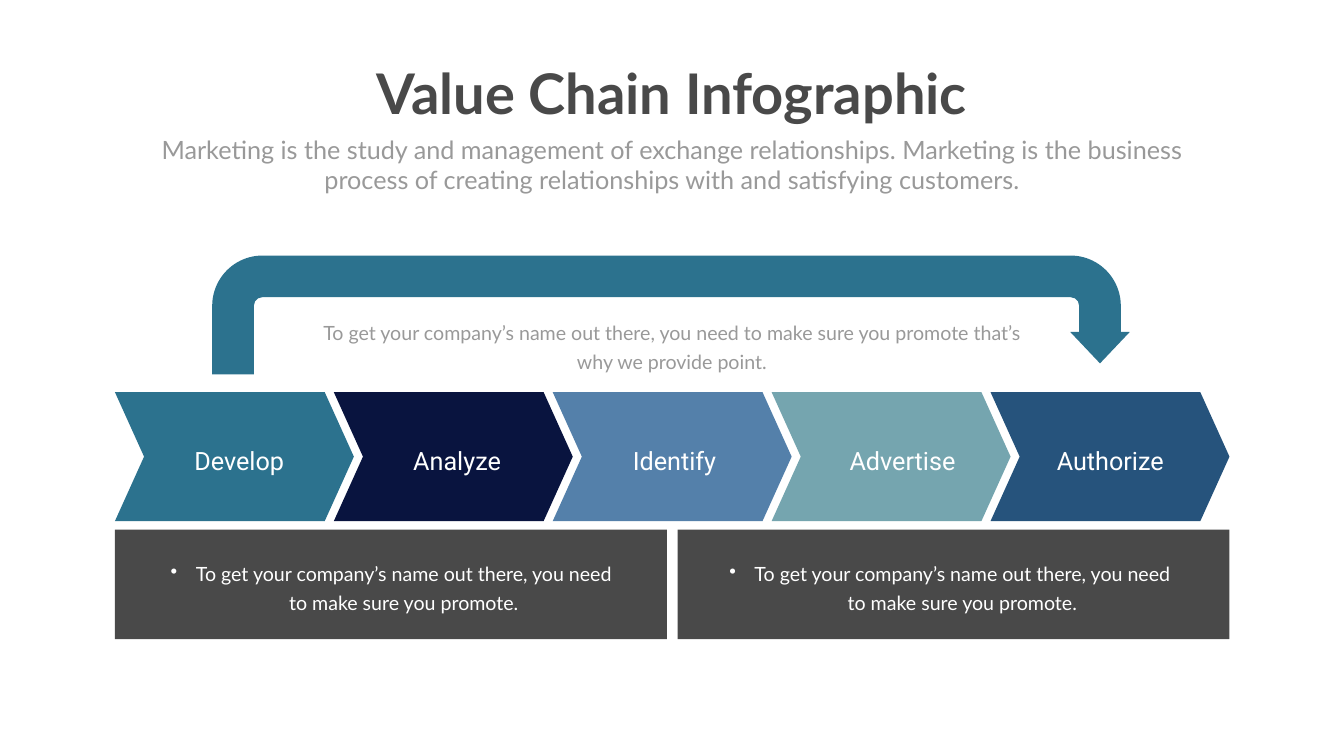
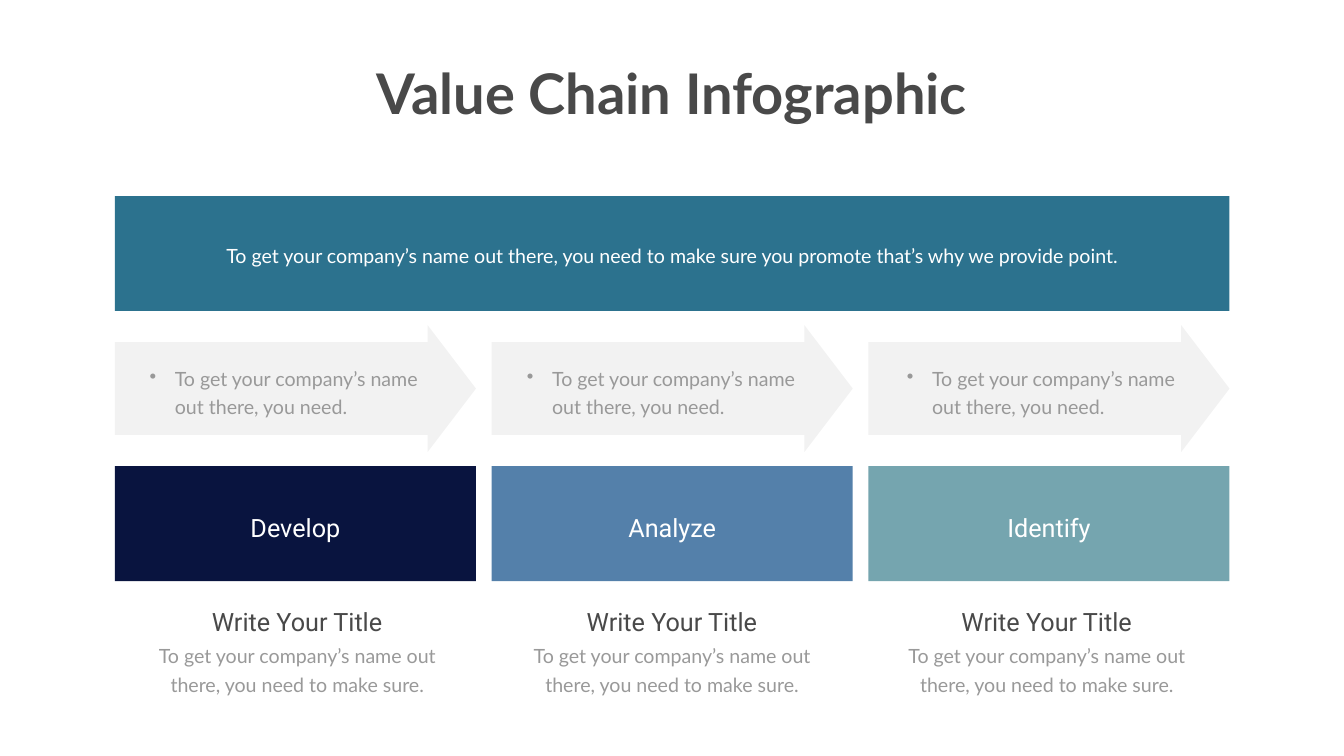
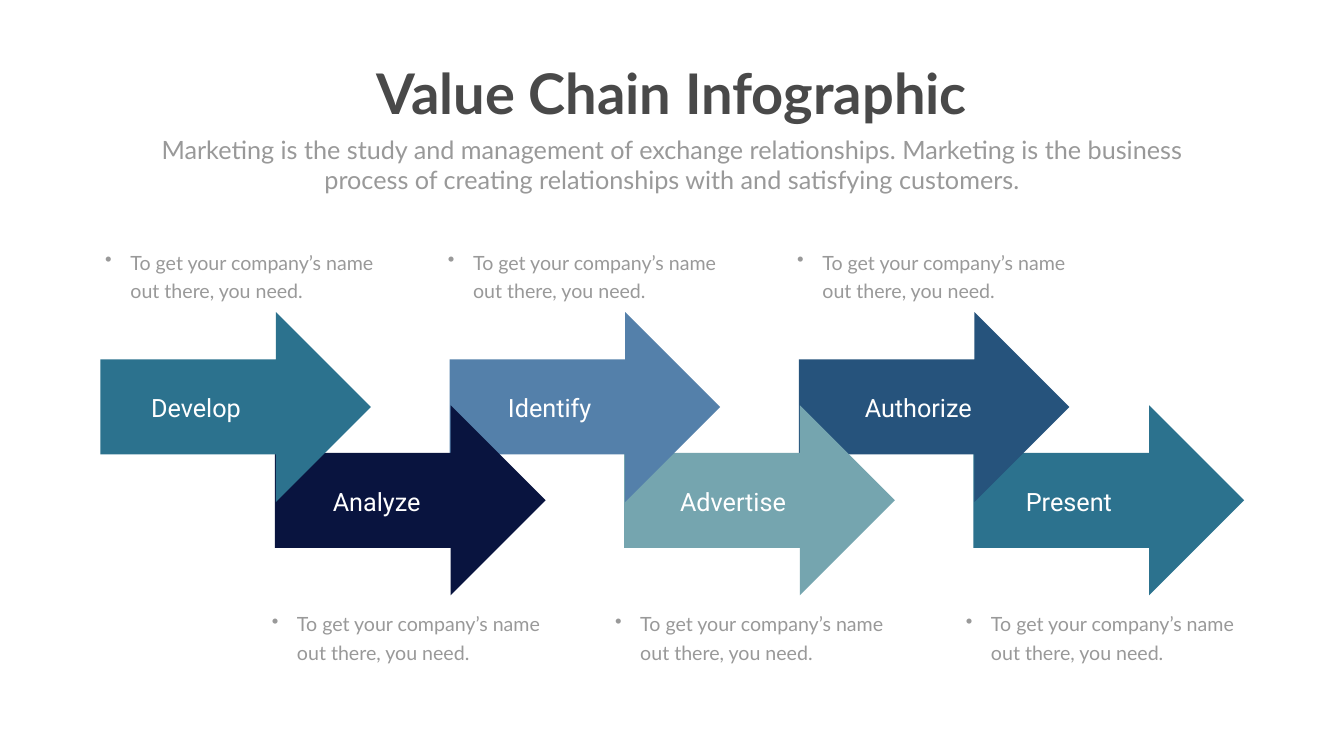
from collections import namedtuple

from lxml import etree
from pptx import Presentation
from pptx.dml.color import RGBColor
from pptx.enum.shapes import MSO_SHAPE
from pptx.enum.text import MSO_AUTO_SIZE, PP_ALIGN
from pptx.oxml.ns import qn
from pptx.util import Inches, Pt

WIDTH, HEIGHT = Inches(26.66), Inches(15)
COL, ROW = WIDTH / 100, HEIGHT / 100

TEAL = RGBColor(0x2C, 0x72, 0x8E)
NAVY = RGBColor(0x09, 0x14, 0x3F)
BLUE = RGBColor(0x54, 0x80, 0xAA)
SAGE = RGBColor(0x75, 0xA5, 0xAF)
STEEL = RGBColor(0x26, 0x53, 0x7C)
DARK = RGBColor(0x49, 0x49, 0x49)
GRAY = RGBColor(0x99, 0x99, 0x99)
MID_GRAY = RGBColor(0x80, 0x80, 0x80)
WHITE = RGBColor(0xFF, 0xFF, 0xFF)

LEFT, CENTER = PP_ALIGN.LEFT, PP_ALIGN.CENTER
FIT = MSO_AUTO_SIZE.SHAPE_TO_FIT_TEXT
CHEVRON, UTURN = MSO_SHAPE.CHEVRON, MSO_SHAPE.U_TURN_ARROW
RECT, ROUNDED = MSO_SHAPE.RECTANGLE, MSO_SHAPE.ROUNDED_RECTANGLE
ARROW = MSO_SHAPE.RIGHT_ARROW

TITLE = "Value Chain Infographic"
SUBTITLE = ("Marketing is the study and management of exchange relationships. "
            "Marketing is the business process of creating relationships "
            "with and satisfying customers.")
NEED = "To get your company’s name out there, you need"
LONG = NEED + " to make sure you promote that’s why we provide point."
PROMOTE = NEED + " to make sure you promote."
SURE = NEED + " to make sure."
SHORT = NEED + "."

MARGIN, CONTENT_W = 8.55, 82.93
LINE_1, LINE_2 = 4.13, 7.93
LABEL_W, LABEL_H = 10.02, 4.73
NOTE_W = 21.08

Box = namedtuple("Box", "x y w h")


def inside(box, dx, dy, w, h):
    return Box(box.x + dx, box.y + dy, w, h)


def split(box, count, width):
    pitch = (box.w - width) / (count - 1)
    return [Box(box.x + i * pitch, box.y, width, box.h) for i in range(count)]


def emu(box):
    return (round(box.x * COL), round(box.y * ROW),
            round(box.w * COL), round(box.h * ROW))


def add_block(s, kind, box, color, adjust=(), alpha=None):
    sp = s.shapes.add_shape(kind, *emu(box))
    sp.shadow.inherit = False
    sp.fill.solid()
    sp.fill.fore_color.rgb = color
    sp.line.fill.background()
    for i, value in enumerate(adjust):
        sp.adjustments[i] = value
    if alpha is not None:
        fill = sp.element.spPr.find(".//" + qn("a:srgbClr"))
        etree.SubElement(fill, qn("a:alpha"), val=str(alpha * 1000))


def add_text(s, box, text, size=28, font="Lato", color=GRAY, bold=False,
             align=CENTER, wrap=True, leading=None, bullet=False):
    tf = s.shapes.add_textbox(*emu(box)).text_frame
    tf.word_wrap = wrap
    tf.auto_size = FIT
    p = tf.paragraphs[0]
    if bullet:
        pPr = p._p.get_or_add_pPr()
        pPr.set("marL", str(Inches(0.5)))
        pPr.set("indent", str(-Inches(0.5)))
        etree.SubElement(pPr, qn("a:buChar"), char="•")
    p.alignment = align
    if leading:
        p.line_spacing = Pt(leading)
    r = p.add_run()
    r.text = text
    r.font.size = Pt(size)
    r.font.name = font
    r.font.bold = bold
    r.font.color.rgb = color


def add_body(s, box, text, **fmt):
    add_text(s, box, text, leading=40.8, **fmt)


def add_label(s, box, text, color=WHITE, **fmt):
    add_text(s, box, text, size=36, font="Roboto", color=color, **fmt)


def add_heading(s, subtitle=None):
    add_text(s, Box(27.04, 7.47, 45.91, 9.67), TITLE, size=80, color=DARK,
             bold=True, wrap=False)
    if subtitle:
        add_text(s, Box(10.95, 17.4, 78.09, 8.73), subtitle, size=36)


def chevron_row(s, box):
    steps = [("Develop", TEAL, 4.24), ("Analyze", NAVY, 4.16),
             ("Identify", BLUE, 4.05), ("Advertise", SAGE, 4.73),
             ("Authorize", STEEL, 3.9)]
    cells = split(box, len(steps), 17.78)
    for cell, (name, color, dx) in zip(cells, steps):
        add_block(s, CHEVRON, cell, color, [0.226])
        add_label(s, inside(cell, dx, 6.67, LABEL_W, 3.73), name)


def return_arrow(s, box):
    add_block(s, UTURN, box, TEAL, [0.35, 0.25, 0.264, 0.423, 0.907])
    add_body(s, inside(box, 7.43, 7.67, 53.53, LINE_2), LONG)


def dark_panels(s, box):
    for cell, dx in zip(split(box, 2, 41.07), (3.71, 3.41)):
        add_block(s, RECT, cell, DARK)
        add_body(s, inside(cell, dx, 3.27, 33.68, LINE_2), PROMOTE,
                 color=WHITE, bullet=True)


def banner(s, box):
    add_block(s, ROUNDED, box, TEAL, [0])
    add_body(s, inside(box, 5.89, 5.33, 71.12, LINE_1), LONG, color=WHITE)


def arrow_notes(s, box):
    for cell, dx in zip(split(box, 3, 26.86), (2.21, 2.25, 2.48)):
        add_block(s, ARROW, cell, MID_GRAY, [0.73, 0.381], alpha=10)
        add_body(s, inside(cell, dx, 4.53, NOTE_W, LINE_2), SHORT,
                 align=LEFT, bullet=True)


def stage_boxes(s, box):
    stages = [("Develop", NAVY), ("Analyze", BLUE), ("Identify", SAGE)]
    for cell, (name, color) in zip(split(box, 3, 26.86), stages):
        add_block(s, ROUNDED, cell, color, [0])
        add_label(s, inside(cell, 8.42, 5.73, LABEL_W, LABEL_H), name)


def titled_notes(s, box):
    for cell in split(box, 3, 23.37):
        add_body(s, inside(cell, 0, 4.33, cell.w, LINE_2), SURE)
        add_label(s, inside(cell, 0.95, 0, 21.46, LABEL_H),
                  "Write Your Title", color=DARK)


def staggered_arrows(s, box):
    steps = [("Develop", TEAL, 3.41, 7.88, 0),
             ("Analyze", NAVY, 3.94, 7.46, -0.6),
             ("Identify", BLUE, 3.98, 7.13, -0.49),
             ("Advertise", SAGE, 3.79, 8.81, -1.05),
             ("Authorize", STEEL, 4.54, 8.96, -0.49),
             ("Present", TEAL, 3.53, 7.35, -0.94)]
    arrow_h = 25.13
    drop = box.h - arrow_h
    cells = [inside(cell, 0, drop * (i % 2), cell.w, arrow_h)
             for i, cell in enumerate(split(box, len(steps), 20.14))]
    for cell, step in reversed(list(zip(cells, steps))):
        add_block(s, ARROW, cell, step[1])
    for i, (cell, step) in enumerate(zip(cells, steps)):
        name, _, label_dx, label_w, note_dx = step
        add_label(s, inside(cell, label_dx, 10.33, label_w, LABEL_H), name,
                  align=LEFT, wrap=False)
        note_dy = 26.33 if i % 2 else -9.13
        add_body(s, inside(cell, note_dx, note_dy, NOTE_W, LINE_2), SHORT,
                 align=LEFT, bullet=True)


def chevron_slide(s):
    chevron_row(s, Box(MARGIN, 51.87, CONTENT_W, 17.07))
    return_arrow(s, Box(15.79, 33.8, 68.27, 15.73))
    dark_panels(s, Box(MARGIN, 70.07, CONTENT_W, 14.47))
    add_heading(s, SUBTITLE)


def stage_slide(s):
    banner(s, Box(MARGIN, 25.93, CONTENT_W, 15.2))
    titled_notes(s, Box(10.43, 79.87, 79.14, 12.27))
    stage_boxes(s, Box(MARGIN, 61.67, CONTENT_W, 15.2))
    arrow_notes(s, Box(MARGIN, 43, CONTENT_W, 16.8))
    add_heading(s)


def staggered_slide(s):
    staggered_arrows(s, Box(7.46, 41.27, 85.11, 37.47))
    add_heading(s, SUBTITLE)


def main():
    prs = Presentation()
    prs.slide_width, prs.slide_height = WIDTH, HEIGHT
    for build in (chevron_slide, stage_slide, staggered_slide):
        build(prs.slides.add_slide(prs.slide_layouts[6]))
    prs.save("out.pptx")


if __name__ == "__main__":
    main()
